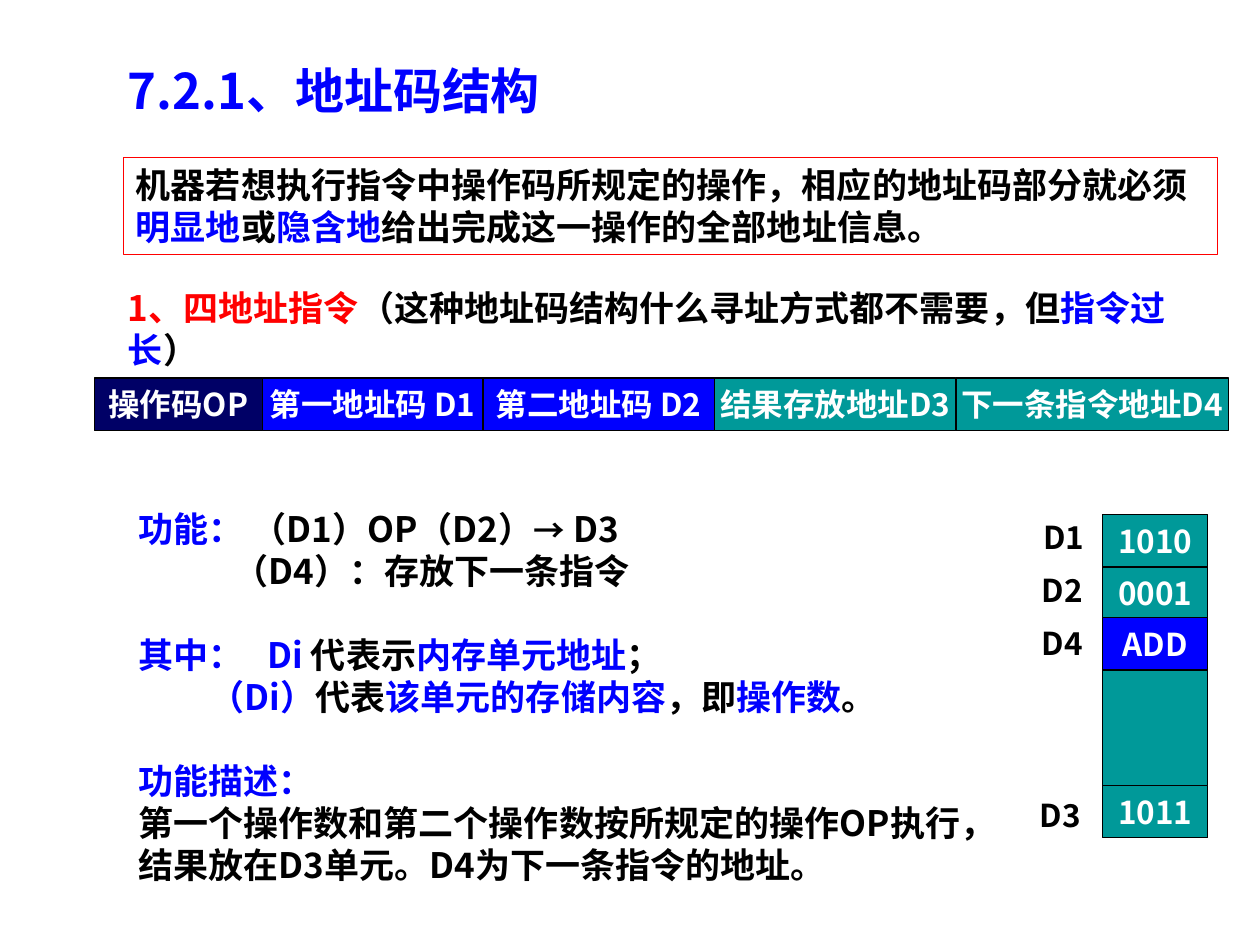
from itertools import accumulate

from lxml.etree import SubElement
from pptx import Presentation
from pptx.dml.color import RGBColor
from pptx.enum.shapes import MSO_SHAPE
from pptx.enum.text import MSO_ANCHOR, PP_ALIGN
from pptx.oxml.ns import qn
from pptx.util import Cm, Pt

FONT = "Noto Sans CJK SC"
BLACK = RGBColor(0x00, 0x00, 0x00)
WHITE = RGBColor(0xFF, 0xFF, 0xFF)
RED = RGBColor(0xFF, 0x00, 0x00)
BLUE = RGBColor(0x00, 0x00, 0xFF)
NAVY = RGBColor(0x00, 0x00, 0x66)
TEAL = RGBColor(0x00, 0x99, 0x99)

CELL_HEIGHT = 1.06


def add_runs(para, parts, size):
    """Add (text, colour) or (text, colour, own size) parts as bold runs."""
    for text, colour, *own_size in parts:
        span = para.add_run()
        span.text = text
        span.font.size = Pt(own_size[0] if own_size else size)
        span.font.bold = True
        span.font.name = FONT
        span.font.color.rgb = colour
        SubElement(span.font._element, qn("a:ea"), typeface=FONT)


def add_text(page, left, top, width, height, parts, size, wrap=True):
    box = page.shapes.add_textbox(Cm(left), Cm(top), Cm(width), Cm(height))
    box.text_frame.word_wrap = wrap
    add_runs(box.text_frame.paragraphs[0], parts, size)
    return box


def add_rectangle(page, left, top, width, height, fill=None, line=BLACK):
    box = page.shapes.add_shape(
        MSO_SHAPE.RECTANGLE, Cm(left), Cm(top), Cm(width), Cm(height))
    box.shadow.inherit = False
    if fill is None:
        box.fill.background()
    else:
        box.fill.solid()
        box.fill.fore_color.rgb = fill
    box.line.color.rgb = line
    box.line.width = Pt(0.75)
    return box


def add_cell(page, left, top, width, text, fill):
    frame = add_rectangle(page, left, top, width, CELL_HEIGHT, fill).text_frame
    frame.word_wrap = False
    frame.vertical_anchor = MSO_ANCHOR.MIDDLE
    frame.paragraphs[0].alignment = PP_ALIGN.CENTER
    add_runs(frame.paragraphs[0], [(text, WHITE)], 18)


def add_definition(page, left, top, width, height):
    frame = add_rectangle(page, left, top, width, height, line=RED).text_frame
    frame.word_wrap = True
    frame.vertical_anchor = MSO_ANCHOR.TOP
    para = frame.paragraphs[0]
    para.alignment = PP_ALIGN.LEFT
    add_runs(para, [
        ("机器若想执行指令中操作码所规定的操作，相应的地址码部分就必须", BLACK),
        ("明显地", BLUE), ("或", BLACK), ("隐含地", BLUE),
        ("给出完成这一操作的全部地址信息。", BLACK)], 20)


def add_instruction_format(page, left, top):
    fields = [("操作码OP", 3.39, NAVY), ("第一地址码 D1", 4.45, BLUE),
              ("第二地址码 D2", 4.66, BLUE), ("结果存放地址D3", 4.87, TEAL),
              ("下一条指令地址D4", 5.5, TEAL)]
    offsets = accumulate((width for _, width, _ in fields), initial=0)
    for offset, (text, width, fill) in zip(offsets, fields):
        add_cell(page, left + offset, top, width, text, fill)


def add_explanation(page, left, top, width, height):
    # Each line: indent in cm, starts a new group, parts
    lines = [
        (0, False, [("功能：", BLUE), (" （D1）OP（D2）", BLACK),
                    ("→", BLACK, 18), (" D3", BLACK)]),
        (1.92, False, [("（D4）：存放下一条指令", BLACK)]),
        (0, True, [("其中：\tDi ", BLUE), ("代表示", BLACK),
                   ("内存单元地址", BLUE), ("；", BLACK)]),
        (1.44, False, [("（Di）", BLUE), ("代表", BLACK),
                       ("该单元的存储内容", BLUE), ("，即", BLACK),
                       ("操作数", BLUE), ("。", BLACK)]),
        (0, True, [("功能描述：", BLUE)]),
        (0, False, [("第一个操作数和第二个操作数按所规定的操作OP执行，", BLACK)]),
        (0, False, [("结果放在D3单元。D4为下一条指令的地址。", BLACK)]),
    ]
    frame = add_text(page, left, top, width, height, [], 20).text_frame
    for number, (indent, new_group, parts) in enumerate(lines):
        para = frame.add_paragraph() if number else frame.paragraphs[0]
        properties = para._p.get_or_add_pPr()
        if indent:
            properties.set("marL", str(Cm(indent)))
        if any("\t" in part[0] for part in parts):
            tabs = SubElement(properties, qn("a:tabLst"))
            SubElement(tabs, qn("a:tab"), pos=str(Cm(2.6)), algn="l")
        if new_group:
            para.space_before = Pt(24)
        add_runs(para, parts, 20)


def add_memory(page, left, top, width):
    """Draw the memory column with an address to the left of each cell."""
    add_rectangle(page, left, top + CELL_HEIGHT, width, 4.45, TEAL)
    # Label, content, fill, cell offset, label left and top offsets
    cells = [("D1", "1010", TEAL, 0, -1.45, -0.05),
             ("D3", "1011", TEAL, 5.46, -1.52, 5.56),
             ("D2", "0001", TEAL, CELL_HEIGHT, -1.48, 1.01),
             ("D4", "ADD", BLUE, 2.08, -1.48, 2.08)]
    for label, content, fill, offset, label_left, label_top in cells:
        add_cell(page, left, top + offset, width, content, fill)
        add_text(page, left + label_left, top + label_top, 1.35, 1.02,
                 [(label, BLACK)], 18, wrap=False)


def main():
    deck = Presentation()
    deck.slide_width, deck.slide_height = Cm(25.4), Cm(19.05)
    page = deck.slides.add_slide(deck.slide_layouts[6])
    add_text(page, 2.33, 1.1, 12.5, 1.45, [("7.2.1、地址码结构", BLUE)], 28)
    add_definition(page, 2.49, 3.17, 22.05, 1.96)
    add_text(page, 2.33, 5.66, 22.43, 1.96, [
        ("1、四地址指令", RED),
        ("（这种地址码结构什么寻址方式都不需要，但", BLACK),
        ("指令过长", BLUE), ("）", BLACK)], 20)
    add_instruction_format(page, 1.9, 7.62)
    add_explanation(page, 2.54, 10.11, 21.39, 7.87)
    add_memory(page, 22.23, 10.37, 2.12)
    deck.save("out.pptx")


if __name__ == "__main__":
    main()
